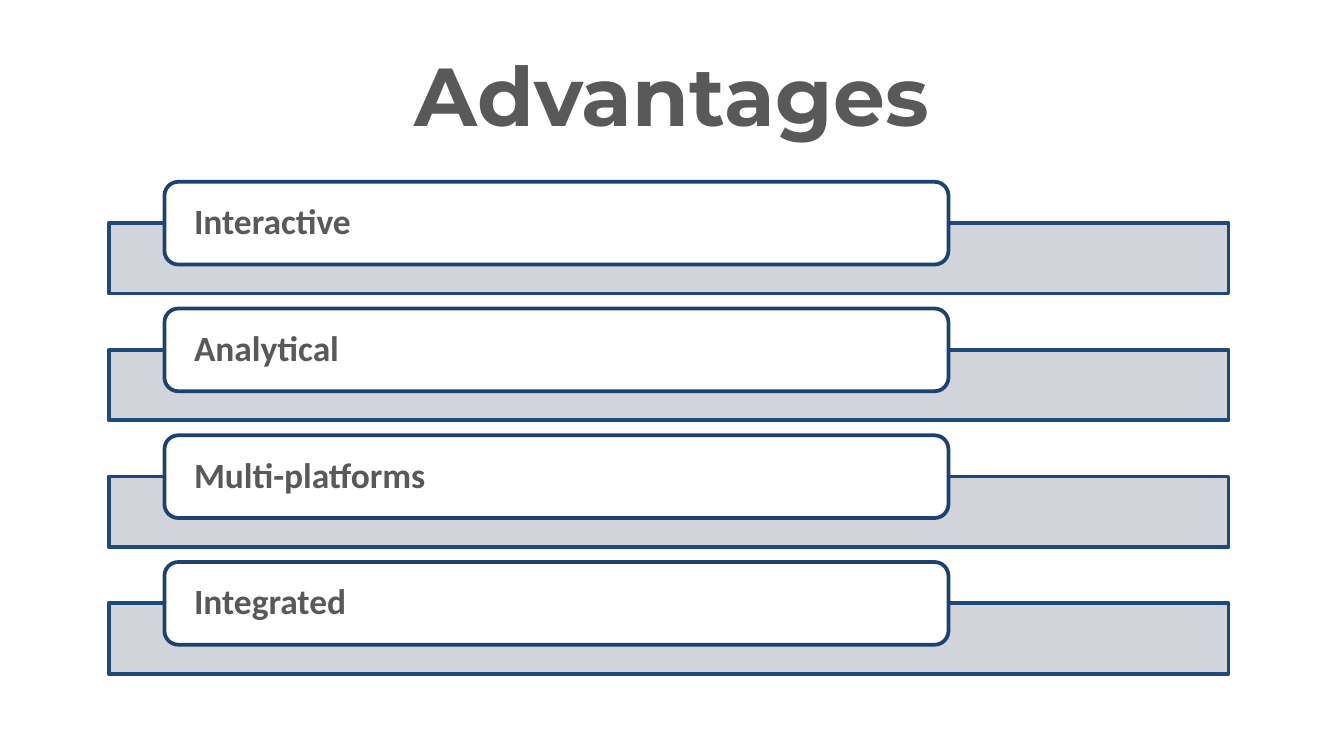
from dataclasses import dataclass

from lxml.etree import SubElement
from pptx import Presentation
from pptx.dml.color import RGBColor
from pptx.enum.shapes import MSO_SHAPE
from pptx.enum.text import MSO_ANCHOR, PP_ALIGN
from pptx.oxml.ns import qn
from pptx.util import Pt


@dataclass(frozen=True)
class Theme:
    text: str = "595959"
    bar_fill: str = "CDD0D7"
    bar_line: str = "1F497D"
    label_fill: str = "FFFFFF"
    label_line: str = "1C4271"
    title_font: str = "Montserrat"
    body_font: str = "Calibri"
    title_size: float = 44
    label_size: float = 19
    line_width: float = 2


THEME = Theme()
ADVANTAGES = ["Interactive", "Analytical", "Multi-platforms", "Integrated"]
FIRST_TOP = 97.4
ROW_PITCH = 67.9
BAR_OFFSET = 22.1


def set_text(sp, text, font, size, align):
    """Write one bold, vertically centred paragraph into a shape."""
    tf = sp.text_frame
    tf.word_wrap = True
    tf.vertical_anchor = MSO_ANCHOR.MIDDLE
    p = tf.paragraphs[0]
    p.text = text
    p.alignment = align
    p.font.name = font
    p.font.size = Pt(size)
    p.font.bold = True
    p.font.color.rgb = RGBColor.from_string(THEME.text)
    return tf


def add_title(s, text):
    """Add the centred slide title."""
    sp = s.shapes.add_textbox(Pt(36), Pt(16.5), Pt(648), Pt(67.5))
    set_text(sp, text, THEME.title_font, THEME.title_size, PP_ALIGN.CENTER)


def add_box(s, kind, left, top, width, height, fill, line):
    """Add a filled, outlined shape without a shadow."""
    sp = s.shapes.add_shape(kind, Pt(left), Pt(top), Pt(width), Pt(height))
    sp.shadow.inherit = False
    sp.fill.solid()
    sp.fill.fore_color.rgb = RGBColor.from_string(fill)
    sp.line.color.rgb = RGBColor.from_string(line)
    sp.line.width = Pt(THEME.line_width)
    return sp


def set_opacity(sp, percent):
    """Make the solid fill of a shape partly transparent."""
    color = sp.fill._xPr.find(qn("a:solidFill"))[0]
    SubElement(color, qn("a:alpha")).set("val", str(percent * 1000))


def add_advantage(s, text, top):
    """Add a bar with its rounded label overlapping the upper edge."""
    bar = add_box(s, MSO_SHAPE.RECTANGLE, 58.2, top + BAR_OFFSET, 600, 37.8,
                  THEME.bar_fill, THEME.bar_line)
    set_opacity(bar, 90)
    label = add_box(s, MSO_SHAPE.ROUNDED_RECTANGLE, 88.1, top, 420, 44.3,
                    THEME.label_fill, THEME.label_line)
    tf = set_text(label, text, THEME.body_font, THEME.label_size, PP_ALIGN.LEFT)
    tf.margin_left = tf.margin_right = Pt(13.7)
    tf.margin_top = tf.margin_bottom = Pt(0)
    tf.paragraphs[0].line_spacing = 0.9


def main():
    """Build and save the slide."""
    prs = Presentation()
    prs.slide_width, prs.slide_height = Pt(720), Pt(405)
    s = prs.slides.add_slide(prs.slide_layouts[6])
    add_title(s, "Advantages")
    for i, text in enumerate(ADVANTAGES):
        add_advantage(s, text, FIRST_TOP + i * ROW_PITCH)
    prs.save("out.pptx")


if __name__ == "__main__":
    main()
